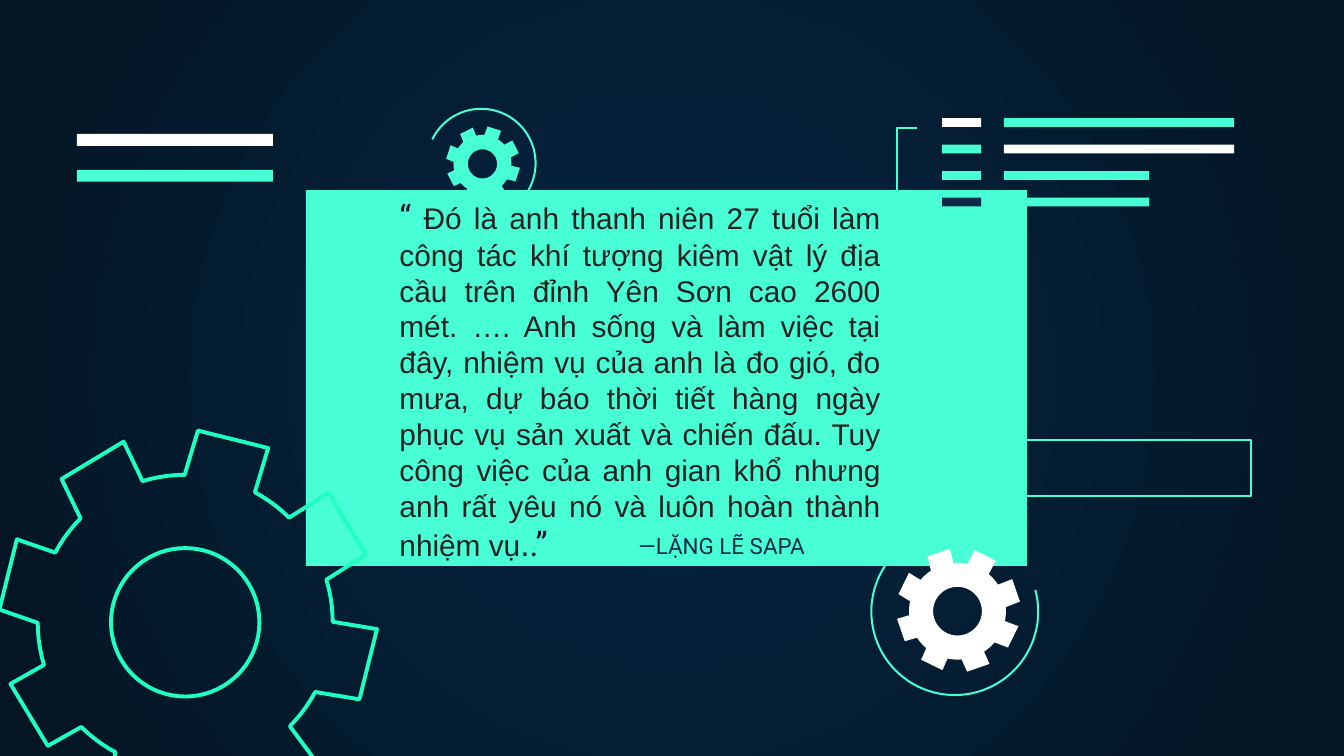
from dataclasses import dataclass
from math import asin, cos, pi, radians, sin, sqrt

from lxml.etree import SubElement
from pptx import Presentation
from pptx.dml.color import RGBColor
from pptx.enum.shapes import MSO_SHAPE
from pptx.enum.text import MSO_ANCHOR, MSO_AUTO_SIZE, PP_ALIGN
from pptx.oxml.ns import qn
from pptx.util import Pt


@dataclass(frozen=True)
class Theme:
    """Colours, fonts and sizes of the slide."""
    glow: RGBColor = RGBColor.from_string("052643")
    night: RGBColor = RGBColor.from_string("041523")
    mint: RGBColor = RGBColor.from_string("48FFD5")
    neon: RGBColor = RGBColor.from_string("1EFFC1")
    white: RGBColor = RGBColor.from_string("FFFFFF")
    navy: RGBColor = RGBColor.from_string("0E2A47")
    quote_mark: RGBColor = RGBColor.from_string("161234")
    ink: RGBColor = RGBColor.from_string("202122")
    heading_font: str = "Roboto"
    body_font: str = "Arial"
    credit_size: float = 12
    body_size: float = 16
    mark_size: float = 18
    thin: float = 1.09
    thick: float = 2.1


THEME = Theme()
QUOTE = (
    "Đó là anh thanh niên 27 tuổi làm công tác khí tượng kiêm vật lý địa cầu "
    "trên đỉnh Yên Sơn cao 2600 mét. …. Anh sống và làm việc tại đây, nhiệm vụ "
    "của anh là đo gió, đo mưa, dự báo thời tiết hàng ngày phục vụ sản xuất và "
    "chiến đấu. Tuy công việc của anh gian khổ nhưng anh rất yêu nó và luôn "
    "hoàn thành nhiệm vụ"
)


def set_values(target, values):
    """Set each named value on the target."""
    for name, value in values.items():
        setattr(target, name, value)


def paint(shape, fill=None, line=None, width=THEME.thin):
    """Give a shape a flat fill, an outline, or neither."""
    shape.shadow.inherit = False
    for part, colour in ((shape.fill, fill), (shape.line.fill, line)):
        if colour is None:
            part.background()
        else:
            part.solid()
            part.fore_color.rgb = colour
    if line is not None:
        shape.line.width = Pt(width)


def add_preset(slide, kind, box, **colours):
    """Add a painted preset shape in a box."""
    shape = slide.shapes.add_shape(kind, *map(Pt, box))
    paint(shape, **colours)
    return shape


def add_outline(slide, contours, close=True, **colours):
    """Add a painted freeform from one or more contours."""
    contours = [[(Pt(x), Pt(y)) for x, y in contour] for contour in contours]
    builder = slide.shapes.build_freeform(*contours[0][0])
    for index, contour in enumerate(contours):
        if index:
            builder.move_to(*contour[0])
        builder.add_line_segments(contour[1:], close=close)
    paint(builder.convert_to_shape(), **colours)


def add_gear(slide, box, turn, **colours):
    """Draw an eight-toothed gear with a round hole."""
    left, top, size = box
    radius = 0.493 * size
    centre_x, centre_y = left + size / 2, top + size / 2
    hub_x, hub_y = centre_x - 0.016 * radius, centre_y + 0.016 * radius
    half_tooth, body, hole = 0.195 * radius, 0.795 * radius, 0.4 * radius
    root = sqrt(body ** 2 - half_tooth ** 2)
    half_angle = asin(half_tooth / body)
    rim = []
    for tooth in range(8):
        angle = radians(turn) + tooth * pi / 4
        for reach, side in ((root, -1), (radius, -1), (radius, 1), (root, 1)):
            x, y = (centre_x, centre_y) if reach == radius else (hub_x, hub_y)
            offset = side * half_tooth
            rim.append((x + reach * cos(angle) - offset * sin(angle),
                        y + reach * sin(angle) + offset * cos(angle)))
        gap = pi / 4 - 2 * half_angle
        for step in range(1, 5):
            bend = angle + half_angle + gap * step / 5
            rim.append((hub_x + body * cos(bend), hub_y + body * sin(bend)))
    bore = [(hub_x + hole * cos(k * pi / 36), hub_y - hole * sin(k * pi / 36))
            for k in range(72)]
    add_outline(slide, [rim, bore], **colours)


def add_orbit(slide, box, start, end):
    """Draw an open ring clockwise between two angles."""
    left, top, size = box
    ring = add_preset(slide, MSO_SHAPE.ARC, (left, top, size, size), line=THEME.mint)
    for index, angle in enumerate((start, end)):
        ring.adjustments[index] = angle * 0.6


def add_bars(slide, box, pitch, bars):
    """Stack bars at an even pitch, each with its own width and colour."""
    left, top, height = box
    for row, (width, colour) in enumerate(bars):
        add_preset(slide, MSO_SHAPE.RECTANGLE,
                   (left, top + row * pitch, width, height), fill=colour)


def add_bracket(slide, box):
    """Draw a bracket open to the right."""
    left, top, width, height = box
    corners = [(left + width, top + height), (left, top + height),
               (left, top), (left + width, top)]
    add_outline(slide, [corners], close=False, line=THEME.mint)


def fill_placeholder(holder, box, anchor, layout, runs):
    """Place a placeholder in front and write its formatted runs."""
    holder.element.getparent().append(holder.element)
    set_values(holder, dict(zip(("left", "top", "width", "height"), map(Pt, box))))
    inset = Pt(7.2)
    set_values(holder.text_frame, {
        "word_wrap": True, "auto_size": MSO_AUTO_SIZE.NONE, "vertical_anchor": anchor,
        "margin_left": inset, "margin_top": inset,
        "margin_right": inset, "margin_bottom": inset,
    })
    paragraph = holder.text_frame.paragraphs[0]
    set_values(paragraph, {"space_before": Pt(0), "line_spacing": 1.0, **layout})
    for text, font, size, colour in runs:
        run = paragraph.add_run()
        run.text = text
        set_values(run.font, {"name": font, "size": Pt(size), "bold": False})
        run.font.color.rgb = colour


def add_backdrop(slide):
    """Fill the background with a radial gradient."""
    fill = slide.background.fill
    fill.gradient()
    for stop, position, colour in zip(fill.gradient_stops, (0, 1), (THEME.glow, THEME.night)):
        stop.position = position
        stop.color.rgb = colour
    gradient = slide.element.find(".//" + qn("a:gradFill"))
    gradient.remove(gradient.find(qn("a:lin")))
    radial = SubElement(gradient, qn("a:path"), {"path": "circle"})
    SubElement(radial, qn("a:fillToRect"), dict.fromkeys("ltrb", "50000"))


def add_quote(slide, quote_box, credit_box):
    """Write the quotation and its credit line."""
    mark = (THEME.heading_font, THEME.mark_size, THEME.quote_mark)
    fill_placeholder(slide.shapes.title, credit_box, MSO_ANCHOR.BOTTOM,
                     {"alignment": PP_ALIGN.CENTER},
                     [("—LẶNG LẼ SAPA", THEME.heading_font, THEME.credit_size, THEME.navy)])
    fill_placeholder(slide.placeholders[1], quote_box, MSO_ANCHOR.TOP,
                     {"alignment": PP_ALIGN.JUSTIFY},
                     [("“ ", *mark),
                      (QUOTE, THEME.body_font, THEME.body_size, THEME.ink),
                      (".", THEME.body_font, THEME.mark_size, THEME.ink),
                      (".”", *mark)])


def build_slide(slide):
    """Lay out the quotation slide."""
    mint, white = THEME.mint, THEME.white
    add_backdrop(slide)
    add_preset(slide, MSO_SHAPE.RECTANGLE, (163.8, 101.8, 386.4, 201.4), fill=mint)
    add_orbit(slide, (228.6, 58.3, 58.3), 206, 96)
    add_orbit(slide, (466.8, 283, 89.4), 345, 233)
    add_gear(slide, (0, 231, 201.6), 14, line=THEME.neon, width=THEME.thick)
    add_gear(slide, (480.4, 293.8, 66.2), 26, fill=white)
    add_gear(slide, (239, 67.7, 39.6), 18, fill=mint)
    add_bars(slide, (504.7, 63.3, 4.7), 14.2,
             [(20.9, colour) for colour in (white, mint, mint, THEME.navy)])
    add_bars(slide, (537.8, 63.3, 4.7), 14.2,
             [(123.4, mint), (123.4, white), (77.8, mint), (77.8, mint)])
    add_bracket(slide, (480.5, 68.5, 10.9, 43.5))
    add_bars(slide, (41.2, 71.8, 6.4), 19.2, [(105, white), (105, mint)])
    add_preset(slide, MSO_SHAPE.RECTANGLE, (518.4, 235.8, 151.8, 29.9), line=mint)
    add_quote(slide, (206.8, 97.9, 272.2, 111.6), (247.7, 154.1, 277.9, 152.6))


def main():
    """Create and save the presentation."""
    deck = Presentation()
    set_values(deck, {"slide_width": Pt(720), "slide_height": Pt(405)})
    build_slide(deck.slides.add_slide(deck.slide_layouts[0]))
    deck.save("out.pptx")


if __name__ == "__main__":
    main()
